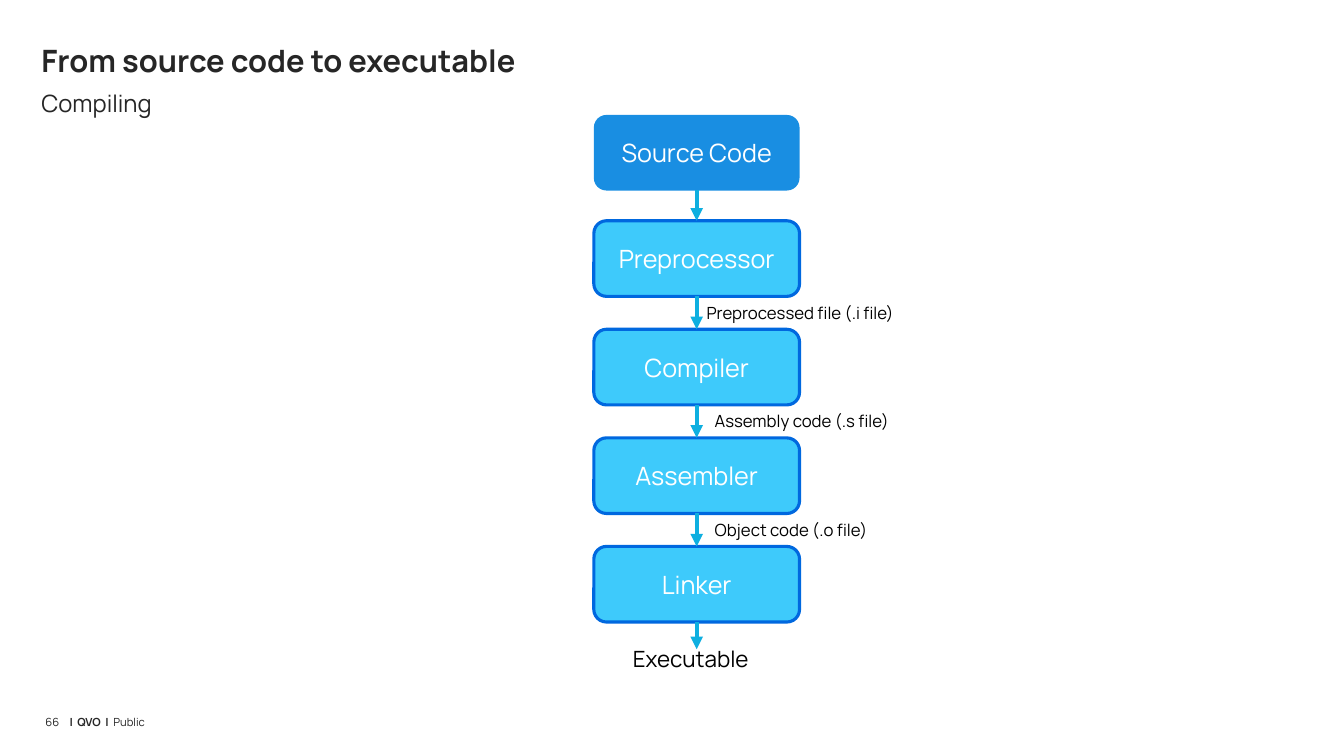
from lxml.etree import SubElement
from pptx import Presentation
from pptx.dml.color import RGBColor
from pptx.enum.shapes import MSO_CONNECTOR, MSO_SHAPE
from pptx.enum.text import MSO_ANCHOR, MSO_AUTO_SIZE, PP_ALIGN
from pptx.oxml.ns import qn
from pptx.util import Inches, Pt

INK, BLACK, WHITE = "262626", "000000", "FFFFFF"
SOURCE_FILL, TOOL_FILL, TOOL_BORDER, ARROW = "198EE2", "3ECAFB", "0068DF", "0EAFE0"

# Step name, and the label's shift from the arrow with the text it leaves behind
TOOLS = [
    ("Preprocessor", 0, "Preprocessed file (.i file)"),
    ("Compiler", 0.08, "Assembly code (.s file)"),
    ("Assembler", 0.08, "Object code (.o file)"),
    ("Linker", None, None),
]
STEP_WIDTH, STEP_HEIGHT, PITCH = 2.04, 0.75, 1.077


def color(hex_value):
    return RGBColor.from_string(hex_value)


def write(shape, runs, size, ink, align=PP_ALIGN.LEFT, line_spacing=None, **frame_format):
    """Fill a shape with one paragraph of (text, bold) runs."""
    frame = shape.text_frame
    settings = {"word_wrap": True, "auto_size": MSO_AUTO_SIZE.NONE,
                "vertical_anchor": MSO_ANCHOR.TOP, **frame_format}
    for attribute, value in settings.items():
        setattr(frame, attribute, value)
    paragraph = frame.paragraphs[0]
    paragraph.alignment = align
    if line_spacing:
        paragraph.line_spacing = line_spacing
    for text, bold in runs:
        run = paragraph.add_run()
        run.text = text
        for attribute, value in {"name": "Manrope", "size": Pt(size), "bold": bold}.items():
            setattr(run.font, attribute, value)
        run.font.color.rgb = color(ink)


def add_text(slide, box, runs, size, ink, **text_format):
    area = slide.shapes.add_textbox(*map(Inches, box))
    write(area, runs, size, ink, **text_format)


def no_margins():
    return {f"margin_{side}": 0 for side in ("left", "top", "right", "bottom")}


def add_heading(slide, left, top, width):
    title = slide.shapes.title
    placement = {"left": left, "top": top, "width": width, "height": 0.44}
    for attribute, value in placement.items():
        setattr(title, attribute, Inches(value))
    write(title, [("From source code to executable", True)], 22, INK, **no_margins())
    add_text(slide, (left, top + 0.47, width, 0.49), [("Compiling", False)], 17, INK,
             **no_margins())


def add_footer(slide, left, top):
    parts = [
        (0, 0.18, [("66", False)]),
        (0.24, 4.44, [("|  QVO  |  ", True), ("Public", False)]),
    ]
    for shift, width, runs in parts:
        add_text(slide, (left + shift, top, width, 0.19), runs, 8, INK,
                 line_spacing=Pt(16.8), **no_margins())


def add_step(slide, left, top, name, fill, border=None):
    step = slide.shapes.add_shape(MSO_SHAPE.ROUNDED_RECTANGLE, *map(
        Inches, (left, top, STEP_WIDTH, STEP_HEIGHT)))
    step.shadow.inherit = False
    step.fill.solid()
    step.fill.fore_color.rgb = color(fill)
    if border:
        step.line.color.rgb = color(border)
        step.line.width = Pt(2.25)
    else:
        step.line.fill.background()
    write(step, [(name, False)], 18, WHITE, align=PP_ALIGN.CENTER,
          vertical_anchor=MSO_ANCHOR.MIDDLE, margin_top=Inches(0.07),
          margin_bottom=Inches(0.07))
    return step


def add_arrow(slide, x, start, end):
    arrow = slide.shapes.add_connector(
        MSO_CONNECTOR.STRAIGHT, *map(Inches, (x, start, x, end)))
    arrow.line.color.rgb = color(ARROW)
    arrow.line.width = Pt(3)
    SubElement(arrow.line._get_or_add_ln(), qn("a:tailEnd"), type="triangle")
    SubElement(arrow._element.spPr, qn("a:effectLst"))
    return arrow


def add_toolchain(slide, left, top):
    center = left + STEP_WIDTH / 2
    tool_top = top + 1.05
    previous = add_step(slide, left, top, "Source Code", SOURCE_FILL)
    bottom = top + STEP_HEIGHT
    for row, (name, shift, output) in enumerate(TOOLS):
        step_top = tool_top + row * PITCH
        step = add_step(slide, left, step_top, name, TOOL_FILL, TOOL_BORDER)
        arrow = add_arrow(slide, center, bottom, step_top)
        arrow.begin_connect(previous, 2)
        arrow.end_connect(step, 0)
        previous, bottom = step, step_top + STEP_HEIGHT
        if output:
            add_text(slide, (center + shift, bottom + 0.01, 6, 0.3), [(output, False)],
                     12, BLACK, auto_size=MSO_AUTO_SIZE.SHAPE_TO_FIT_TEXT)
    add_arrow(slide, center, bottom, bottom + 0.27).begin_connect(previous, 2)
    add_text(slide, (center - 0.73, bottom + 0.18, 1.44, 0.37), [("Executable", False)],
             16, BLACK, auto_size=MSO_AUTO_SIZE.SHAPE_TO_FIT_TEXT)


def main():
    deck = Presentation()
    deck.slide_width, deck.slide_height = Inches(13.33), Inches(7.5)
    slide = deck.slides.add_slide(deck.slide_layouts.get_by_name("Title Only"))
    add_heading(slide, 0.41, 0.41, 12.5)
    add_toolchain(slide, 5.89, 1.14)
    add_footer(slide, 0.45, 7)
    deck.save("out.pptx")


if __name__ == "__main__":
    main()
